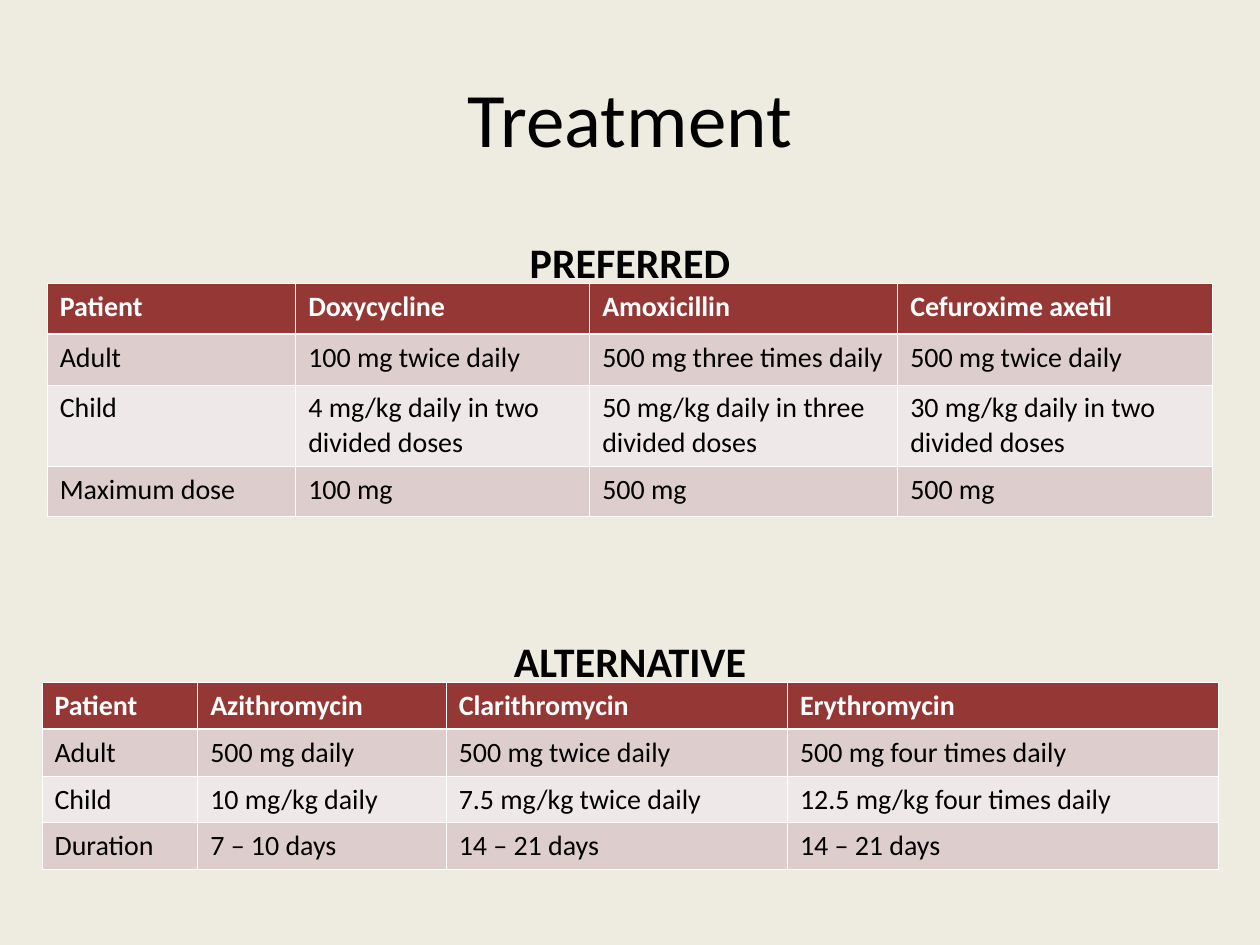
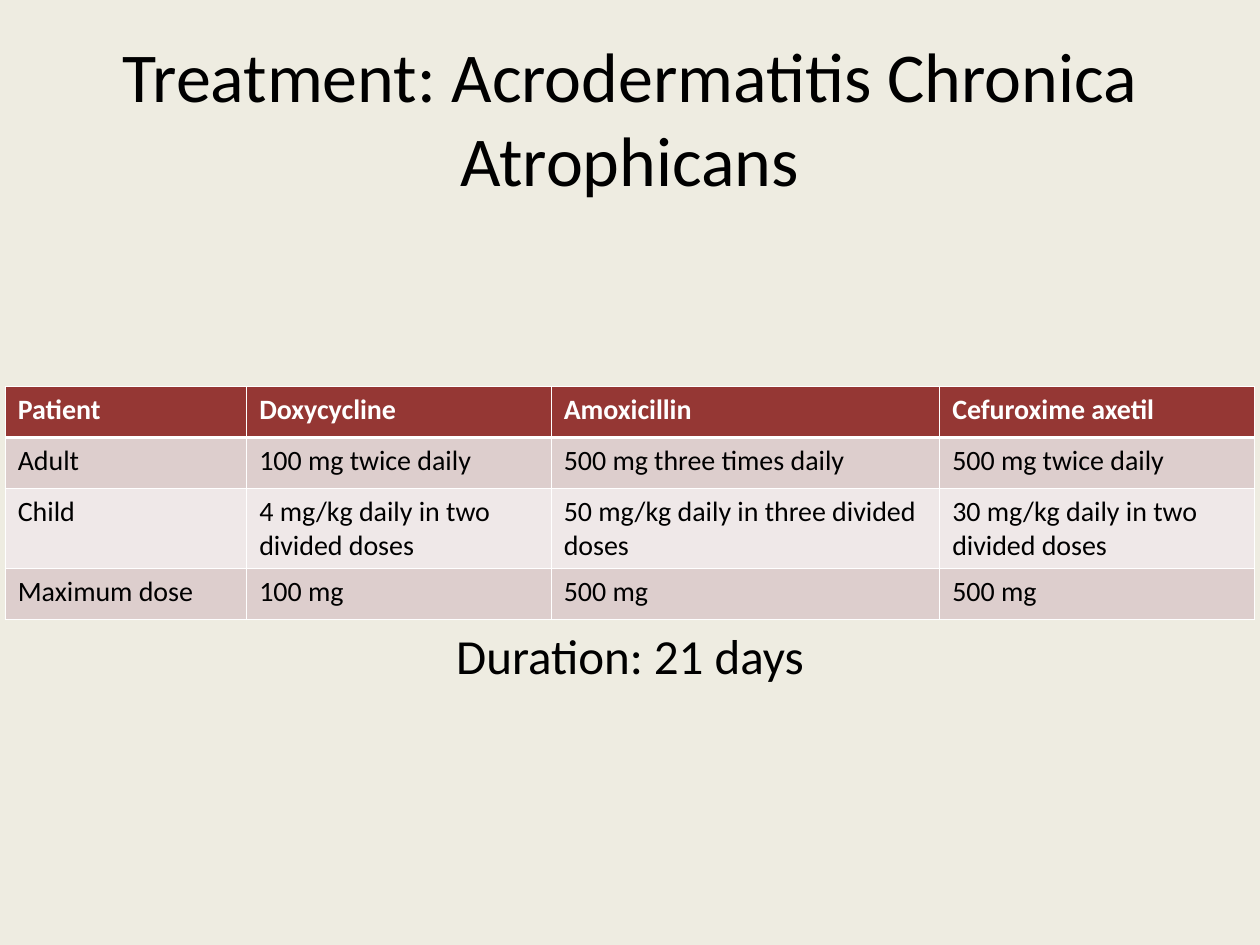
from lxml import etree
from pptx import Presentation
from pptx.dml.color import RGBColor
from pptx.enum import text
from pptx.oxml import ns
from pptx.util import Pt

FONT = "Calibri"
PAPER = RGBColor(0xEE, 0xEC, 0xE1)
HEADER = RGBColor(0x95, 0x37, 0x34)
BAND_DARK = RGBColor(0xDD, 0xCE, 0xCD)
BAND_LIGHT = RGBColor(0xEF, 0xE8, 0xE8)
WHITE = RGBColor(0xFF, 0xFF, 0xFF)
BLACK = RGBColor(0, 0, 0)

SLIDE_W, SLIDE_H = 720, 540
TITLE_BOX = (36, 21.6, 648, 90)
THIN, THICK = 0.45, 1.47
DOSE_ROWS = (29, 29, 46, 29)
DURATION_ROWS = (26.75,) * 4

PREFERRED = (
    ("Patient", "Doxycycline", "Amoxicillin", "Cefuroxime axetil"),
    ("Adult", "100 mg twice daily", "500 mg three times daily", "500 mg twice daily"),
    ("Child", "4 mg/kg daily in two divided doses",
     "50 mg/kg daily in three divided doses", "30 mg/kg daily in two divided doses"),
    ("Maximum dose", "100 mg", "500 mg", "500 mg"),
)
ALTERNATIVE = (
    ("Patient", "Azithromycin", "Clarithromycin", "Erythromycin"),
    ("Adult", "500 mg daily", "500 mg twice daily", "500 mg four times daily"),
    ("Child", "10 mg/kg daily", "7.5 mg/kg twice daily", "12.5 mg/kg four times daily"),
    ("Duration", "7 – 10 days", "14 – 21 days", "14 – 21 days"),
)


def style(p, size, color=BLACK, bold=False):
    p.font.name = FONT
    p.font.size = Pt(size)
    p.font.bold = bold
    p.font.color.rgb = color


def centred_box(width, top, height):
    return (SLIDE_W - width) / 2, top, width, height


def add_titled_slide(prs, title, size):
    s = prs.slides.add_slide(prs.slide_layouts[5])
    sp = s.shapes.title
    sp.left, sp.top, sp.width, sp.height = map(Pt, TITLE_BOX)
    tf = sp.text_frame
    tf.text = title
    tf.word_wrap = True
    tf.auto_size = text.MSO_AUTO_SIZE.NONE
    tf.vertical_anchor = text.MSO_ANCHOR.MIDDLE
    p = tf.paragraphs[0]
    p.alignment = text.PP_ALIGN.CENTER
    style(p, size)
    return s


def add_label(s, box, label, size, bold=False):
    tf = s.shapes.add_textbox(*map(Pt, box)).text_frame
    tf.word_wrap = True
    p = tf.paragraphs[0]
    p.text = label
    p.alignment = text.PP_ALIGN.CENTER
    style(p, size, bold=bold)


def set_borders(cell, top, bottom):
    tc_pr = cell._tc.get_or_add_tcPr()
    widths = {"lnL": THIN, "lnR": THIN, "lnT": top, "lnB": bottom}
    for i, (tag, width) in enumerate(widths.items()):
        ln = etree.Element(ns.qn(f"a:{tag}"), w=str(Pt(width)))
        fill = etree.SubElement(ln, ns.qn("a:solidFill"))
        etree.SubElement(fill, ns.qn("a:srgbClr"), val=str(WHITE))
        tc_pr.insert(i, ln)


def add_dose_table(s, top, cols, row_heights, rows):
    box = centred_box(sum(cols), top, sum(row_heights))
    tbl = s.shapes.add_table(len(rows), len(cols), *map(Pt, box)).table
    for col, width in zip(tbl.columns, cols):
        col.width = Pt(width)
    for r, (row, height) in enumerate(zip(rows, row_heights)):
        tbl.rows[r].height = Pt(height)
        is_header = r == 0
        band = HEADER if is_header else BAND_DARK if r % 2 else BAND_LIGHT
        for c, value in enumerate(row):
            cell = tbl.cell(r, c)
            cell.text = value
            cell.fill.solid()
            cell.fill.fore_color.rgb = band
            style(cell.text_frame.paragraphs[0], 16,
                  WHITE if is_header else BLACK, is_header)
            set_borders(cell, THICK if r == 1 else THIN, THICK if is_header else THIN)


def add_headed_table(s, heading, top, cols, row_heights, rows):
    add_dose_table(s, top, cols, row_heights, rows)
    add_label(s, centred_box(228, top - 30.5, 36), heading, 24, bold=True)


def build_treatment(prs):
    s = add_titled_slide(prs, "Treatment", 44)
    add_headed_table(s, "PREFERRED", 162, (142, 168, 176, 180), DOSE_ROWS, PREFERRED)
    add_headed_table(s, "ALTERNATIVE", 390, (89, 142, 195, 246), DURATION_ROWS, ALTERNATIVE)


def build_acrodermatitis(prs):
    s = add_titled_slide(prs, "Treatment: Acrodermatitis Chronica Atrophicans", 40)
    add_label(s, centred_box(324, 354, 62.5), "Duration: 21 days", 28)
    add_dose_table(s, 221, (138, 174, 222, 180), DOSE_ROWS, PREFERRED)


def main():
    prs = Presentation()
    prs.slide_width, prs.slide_height = Pt(SLIDE_W), Pt(SLIDE_H)
    fill = prs.slide_master.background.fill
    fill.solid()
    fill.fore_color.rgb = PAPER
    build_treatment(prs)
    build_acrodermatitis(prs)
    prs.save("out.pptx")


if __name__ == "__main__":
    main()
